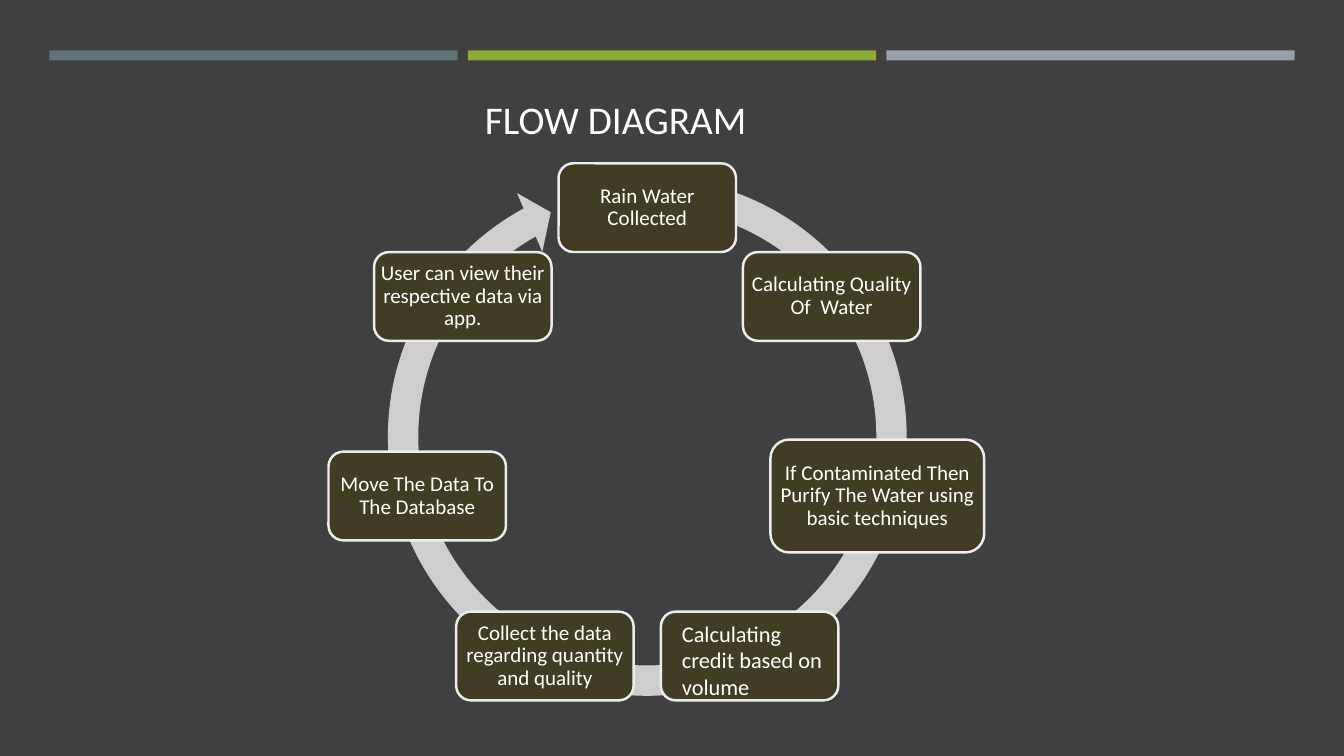
from math import cos, pi, sin

from lxml.etree import SubElement
from pptx import Presentation
from pptx.dml.color import RGBColor
from pptx.enum.shapes import MSO_SHAPE
from pptx.enum.text import MSO_ANCHOR, PP_ALIGN
from pptx.util import Inches, Pt

COLORS = {
    "base": "000000", "panel": "404040", "text": "FFFFFF",
    "slate": "60727A", "green": "8AAB35", "silver": "969FA7",
    "ring": "CFCECD", "node": "413D24", "outline": "EDECF0",
}
FONT = "Calibri"
NODE_SIZE = (1.76, 0.88)
LARGE_NODE_SIZE = (2.12, 1.12)
CREDIT_STEP = "Calculating credit based on volume"
STEPS = [
    "Rain Water Collected",
    "Calculating Quality Of  Water",
    "If Contaminated Then Purify The Water using basic techniques",
    CREDIT_STEP,
    "Collect the data regarding quantity and quality",
    "Move The Data To The Database",
    "User can view their respective data via app.",
]
LARGE_STEP = 2


def color(name):
    return RGBColor.from_string(COLORS[name])


def add_filled(page, kind, box, fill, outline=None):
    shape = page.shapes.add_shape(kind, *[Inches(length) for length in box])
    shape.shadow.inherit = False
    shape.fill.solid()
    shape.fill.fore_color.rgb = color(fill)
    if outline:
        shape.line.color.rgb = color(outline)
        shape.line.width = Pt(1.75)
    else:
        shape.line.fill.background()
    return shape


def write(frame, text, size, align, anchor, inset=None):
    frame.word_wrap = True
    frame.vertical_anchor = anchor
    if inset is not None:
        frame.margin_left = frame.margin_right = Inches(inset)
        frame.margin_top = frame.margin_bottom = Inches(inset)
    para = frame.paragraphs[0]
    para.alignment = align
    span = para.add_run()
    span.text = text
    span.font.name = FONT
    span.font.size = Pt(size)
    span.font.color.rgb = color("text")
    return para


def add_backdrop(page, width, height):
    page.background.fill.solid()
    page.background.fill.fore_color.rgb = color("base")
    panel = add_filled(page, MSO_SHAPE.RECTANGLE, (0, 0, width, height), "panel")
    # Keep the panel behind the title placeholder
    page.shapes._spTree.insert(2, panel._element)


def add_bars(page, left, top, width, height, gap=0.1):
    bar_width = (width - 2 * gap) / 3
    for index, name in enumerate(("slate", "green", "silver")):
        bar_left = left + index * (bar_width + gap)
        add_filled(page, MSO_SHAPE.RECTANGLE, (bar_left, top, bar_width, height), name)


def add_title(page, left, top, width, height):
    title = page.shapes.title
    title.left, title.top = Inches(left), Inches(top)
    title.width, title.height = Inches(width), Inches(height)
    write(title.text_frame, "FLOW DIAGRAM", 28, PP_ALIGN.LEFT, MSO_ANCHOR.BOTTOM)
    body = title.text_frame._txBody.bodyPr
    for child in list(body):
        body.remove(child)
    SubElement(body, "{http://schemas.openxmlformats.org/drawingml/2006/main}noAutofit")


def add_cycle(page, left, top, size, radius=2.34):
    # Ring with its arrowhead
    ring = add_filled(page, MSO_SHAPE.CIRCULAR_ARROW, (left, top, size, size), "ring")
    for index, value in enumerate((0.055, 3.307, 144.723, 169.751, 0.058)):
        ring.adjustments[index] = value

    # Steps, evenly spaced clockwise from the top
    center_x, center_y = left + size / 2, top + size / 2 + 0.07
    for index, text in enumerate(STEPS):
        angle = 2 * pi * index / len(STEPS)
        width, height = LARGE_NODE_SIZE if index == LARGE_STEP else NODE_SIZE
        node_left = center_x + radius * sin(angle) - width / 2
        node_top = center_y - radius * cos(angle) - height / 2
        node = add_filled(page, MSO_SHAPE.ROUNDED_RECTANGLE,
                          (node_left, node_top, width, height), "node", "outline")
        if text == CREDIT_STEP:
            label = page.shapes.add_textbox(Inches(node_left + 0.11), Inches(node_top + 0.03),
                                            Inches(1.63), Inches(0.91))
            write(label.text_frame, text, 16, PP_ALIGN.LEFT, MSO_ANCHOR.TOP)
        else:
            para = write(node.text_frame, text, 15, PP_ALIGN.CENTER, MSO_ANCHOR.MIDDLE, 0.02)
            para.line_spacing = 0.9


def main():
    deck = Presentation()
    deck.slide_width, deck.slide_height = Inches(13.33), Inches(7.5)
    page = deck.slides.add_slide(deck.slide_layouts[5])
    add_backdrop(page, 13.33, 7.5)
    add_title(page, 4.71, 0.16, 3.35, 1.3)
    add_bars(page, 0.49, 0.5, 12.35, 0.1)
    add_cycle(page, 3.68, 1.59, 5.48)
    deck.save("out.pptx")


if __name__ == "__main__":
    main()
